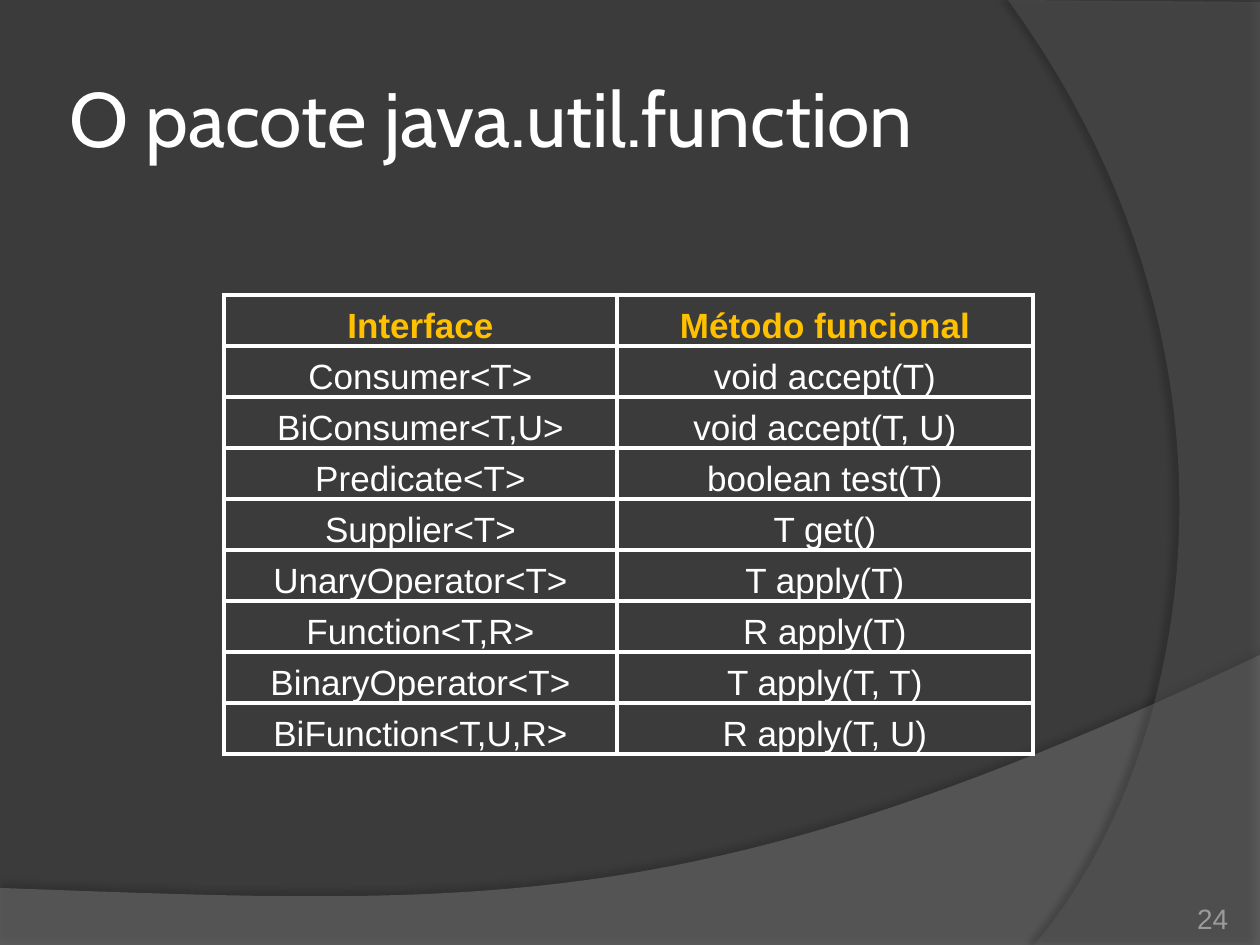
from lxml import etree
from pptx import Presentation
from pptx.dml.color import RGBColor
from pptx.enum.text import MSO_ANCHOR, PP_ALIGN
from pptx.oxml import parse_xml
from pptx.oxml.ns import nsdecls, qn
from pptx.util import Pt

EMU_PER_PX = 914400 / 126
CURVE_STEPS = 48
MIDDLE, BOTTOM = MSO_ANCHOR.MIDDLE, MSO_ANCHOR.BOTTOM
LEFT, CENTER, RIGHT = PP_ALIGN.LEFT, PP_ALIGN.CENTER, PP_ALIGN.RIGHT
WHITE, GOLD, GRAY, DARK = "FFFFFF", "FFC000", "9D9B9A", "3B3B3B"

INTERFACES = [
    ("Interface", "Método funcional"),
    ("Consumer<T>", "void accept(T)"),
    ("BiConsumer<T,U>", "void accept(T, U)"),
    ("Predicate<T>", "boolean test(T)"),
    ("Supplier<T>", "T get()"),
    ("UnaryOperator<T>", "T apply(T)"),
    ("Function<T,R>", "R apply(T)"),
    ("BinaryOperator<T>", "T apply(T, T)"),
    ("BiFunction<T,U,R>", "R apply(T, U)"),
]


def px(length):
    return round(length * EMU_PER_PX)


def color(hex_text):
    return RGBColor.from_string(hex_text)


def curve_points(start, first, second, end):
    for step in range(1, CURVE_STEPS + 1):
        t = step / CURVE_STEPS
        weights = ((1 - t) ** 3, 3 * t * (1 - t) ** 2, 3 * t * t * (1 - t), t ** 3)
        corners = (start, first, second, end)
        yield tuple(sum(w * c[axis] for w, c in zip(weights, corners)) for axis in (0, 1))


class SlidePainter:
    font = "Arial"

    def __init__(self, page):
        self.page = page

    def background(self, fill):
        self.page.background.fill.solid()
        self.page.background.fill.fore_color.rgb = color(fill)

    def set_text(self, frame, text, size, ink, align, font=None, bold=False):
        frame.text = text
        para = frame.paragraphs[0]
        para.alignment = align
        span = para.runs[0]
        span.font.name = font or self.font
        span.font.size = Pt(size)
        span.font.bold = bold
        span.font.color.rgb = color(ink)

    def text(self, text, left, top, width, height, size, ink, align, anchor, inset=0, font=None):
        box = self.page.shapes.add_textbox(px(left), px(top), px(width), px(height))
        frame = box.text_frame
        frame.word_wrap = True
        frame.vertical_anchor = anchor
        frame.margin_left = frame.margin_right = px(inset)
        frame.margin_top = frame.margin_bottom = px(inset)
        self.set_text(frame, text, size, ink, align, font)

    def wave(self, corners, curve, fill, opacity, shadow_opacity, distance, angle):
        points = corners + list(curve_points(corners[-1], *curve))
        points = [(px(x), px(y)) for x, y in points]
        builder = self.page.shapes.build_freeform(*points[0], scale=1.0)
        builder.add_line_segments(points[1:], close=True)
        shape = builder.convert_to_shape()
        shape.line.fill.background()
        shape.fill.solid()
        shape.fill.fore_color.rgb = color(fill)
        tint = shape._element.spPr.find(qn("a:solidFill"))[0]
        etree.SubElement(tint, qn("a:alpha"), val=str(opacity * 1000))
        shape._element.spPr.append(parse_xml(
            f'<a:effectLst {nsdecls("a")}>'
            f'<a:outerShdw blurRad="{Pt(4)}" dist="{Pt(distance)}" dir="{angle * 60000}" '
            f'algn="ctr" rotWithShape="0"><a:srgbClr val="000000">'
            f'<a:alpha val="{shadow_opacity * 1000}"/></a:srgbClr></a:outerShdw></a:effectLst>'))

    def borders(self, cell, ink, weight):
        properties = cell._tc.get_or_add_tcPr()
        for index, side in enumerate(("lnL", "lnR", "lnT", "lnB")):
            properties.insert(index, parse_xml(
                f'<a:{side} {nsdecls("a")} w="{Pt(weight)}"><a:solidFill>'
                f'<a:srgbClr val="{ink}"/></a:solidFill></a:{side}>'))

    def table(self, rows, left, top, widths, row_height):
        holder = self.page.shapes.add_table(
            len(rows), len(widths), px(left), px(top), px(sum(widths)), px(row_height * len(rows)))
        table = holder.table
        table.first_row = table.horz_banding = False
        for column, width in zip(table.columns, widths):
            column.width = px(width)
        for row_index, texts in enumerate(rows):
            table.rows[row_index].height = px(row_height)
            header = row_index == 0
            for column_index, text in enumerate(texts):
                cell = table.cell(row_index, column_index)
                cell.margin_left = cell.margin_right = cell.margin_top = px(1)
                cell.margin_bottom = 0
                cell.vertical_anchor = BOTTOM
                cell.fill.background()
                self.borders(cell, WHITE, 3)
                self.set_text(cell.text_frame, text, 20, GOLD if header else WHITE, CENTER, bold=header)


def main():
    deck = Presentation()
    deck.slide_width, deck.slide_height = px(1260), px(945)
    painter = SlidePainter(deck.slides.add_slide(deck.slide_layouts[6]))
    painter.background(DARK)
    painter.wave([(0, 888), (0, 946), (1260, 946), (1260, 655)],
                 [(704, 919), (493, 906), (0, 888)], "7F7F7F", 45, 35, 3.5, 270)
    painter.wave([(1260, 2), (1260, 945), (1034, 945)],
                 [(1178, 780), (1283, 378), (1008, 0)], "5E5E5E", 40, 45, 4, 180)
    painter.text("O pacote java.util.function", 63, 38, 1128, 158, 44, WHITE, LEFT, MIDDLE, 6, "Cabin")
    painter.table(INTERFACES, 224, 295, (393, 416), 51)
    painter.text("24", 1124, 885, 104, 50, 16, GRAY, RIGHT, BOTTOM)
    deck.save("out.pptx")


if __name__ == "__main__":
    main()
